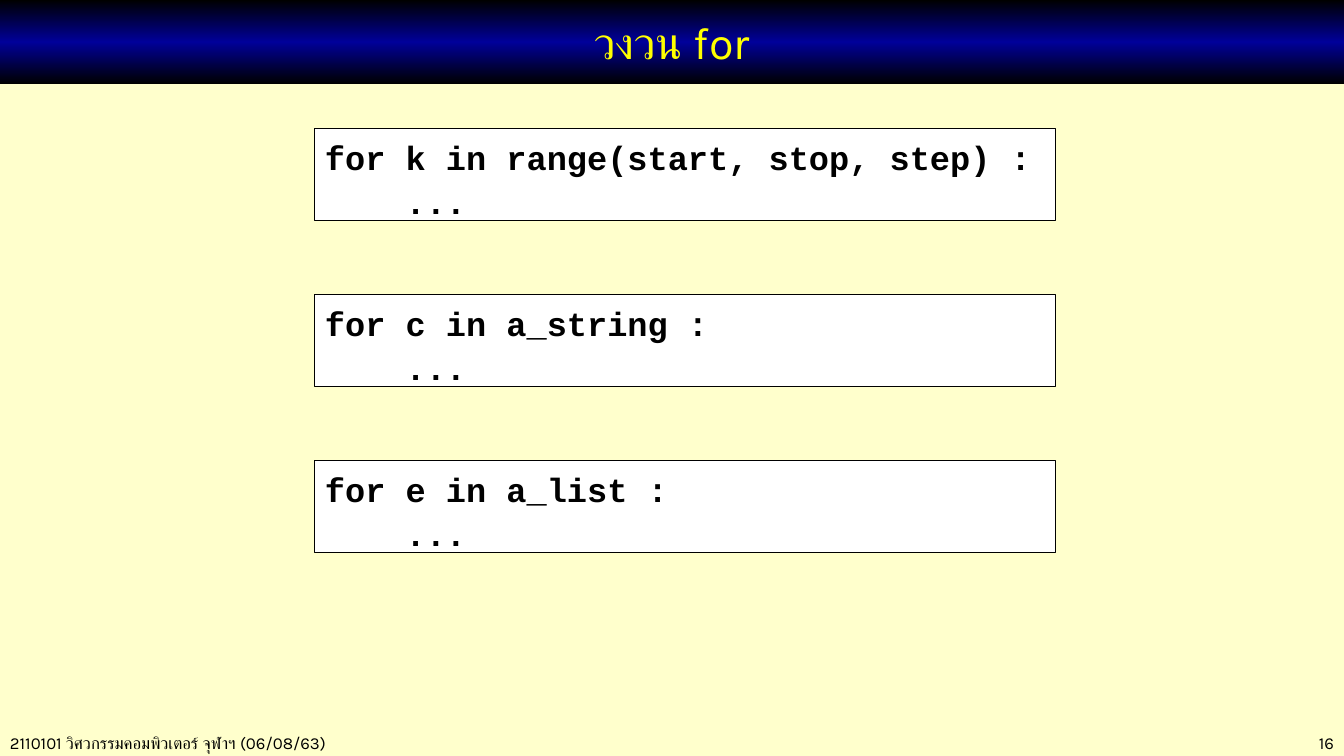
from copy import deepcopy

from pptx import Presentation
from pptx.dml.color import RGBColor
from pptx.enum.shapes import MSO_SHAPE
from pptx.enum.text import MSO_ANCHOR, PP_ALIGN
from pptx.util import Pt

EMU_PER_PX = 914400 / 100.8
SLIDE_WIDTH, SLIDE_HEIGHT = 1344, 756

BLACK = RGBColor(0x00, 0x00, 0x00)
WHITE = RGBColor(0xFF, 0xFF, 0xFF)
NAVY = RGBColor(0x00, 0x00, 0x99)
YELLOW = RGBColor(0xFF, 0xFF, 0x00)
CREAM = RGBColor(0xFF, 0xFF, 0xCC)

LOOPS = [
    "for k in range(start, stop, step) :",
    "for c in a_string :",
    "for e in a_list :",
]


def px(length):
    return round(length * EMU_PER_PX)


def box_emu(box):
    return [px(length) for length in box]


def write_text(shape, lines, size, color=BLACK, font="Karla", bold=False,
               align=PP_ALIGN.LEFT, anchor=MSO_ANCHOR.TOP, spacing=1.0):
    frame = shape.text_frame
    frame.word_wrap = True
    frame.vertical_anchor = anchor
    frame.margin_left = frame.margin_right = px(10)
    frame.margin_top = frame.margin_bottom = px(5)
    frame.text = "\n".join(lines)
    for paragraph in frame.paragraphs:
        paragraph.alignment = align
        paragraph.line_spacing = spacing
        for run in paragraph.runs:
            run.font.name = font
            run.font.size = Pt(size)
            run.font.bold = bold
            run.font.color.rgb = color


def add_title(slide, box, text):
    title = slide.shapes.title
    title.left, title.top, title.width, title.height = box_emu(box)
    title.fill.gradient()
    stop_list = title.fill.gradient_stops
    first_stop = title.element.spPr.find(".//{*}gs")
    first_stop.addnext(deepcopy(first_stop))
    stop_list = title.fill.gradient_stops
    for stop, position, color in zip(stop_list, (0, 0.5, 1), (BLACK, NAVY, BLACK)):
        stop.position = position
        stop.color.rgb = color
    title.fill.gradient_angle = 90
    write_text(title, [text], 32, YELLOW, align=PP_ALIGN.CENTER,
               anchor=MSO_ANCHOR.MIDDLE)


def add_code_boxes(slide, box, pitch):
    """Stack one code box per loop, starting at the given box."""
    left, top, width, height = box
    for index, loop in enumerate(LOOPS):
        code = slide.shapes.add_shape(
            MSO_SHAPE.RECTANGLE,
            *box_emu((left, top + index * pitch, width, height)))
        code.shadow.inherit = False
        code.fill.solid()
        code.fill.fore_color.rgb = WHITE
        code.line.color.rgb = BLACK
        code.line.width = Pt(0.75)
        write_text(code, [loop, "    ..."], 24, font="Courier New", bold=True,
                   spacing=1.08)


def add_footer(slide, box, number_width):
    left, top, width, height = box
    course = slide.shapes.add_textbox(*box_emu((left, top, 524, height)))
    write_text(course, ["2110101 วิศวกรรมคอมพิวเตอร์ จุฬาฯ (06/08/63)"], 12)
    number = slide.shapes.add_textbox(
        *box_emu((left + width - number_width, top, number_width, height)))
    write_text(number, ["16"], 12, align=PP_ALIGN.RIGHT)


def main():
    presentation = Presentation()
    presentation.slide_width = px(SLIDE_WIDTH)
    presentation.slide_height = px(SLIDE_HEIGHT)
    slide = presentation.slides.add_slide(presentation.slide_layouts[5])
    slide.background.fill.solid()
    slide.background.fill.fore_color.rgb = CREAM
    add_footer(slide, (0, 728, SLIDE_WIDTH, 28), 185)
    add_title(slide, (0, 0, SLIDE_WIDTH, 84), "วงวน for")
    add_code_boxes(slide, (315, 129, 741, 92), 166)
    presentation.save("out.pptx")


if __name__ == "__main__":
    main()
